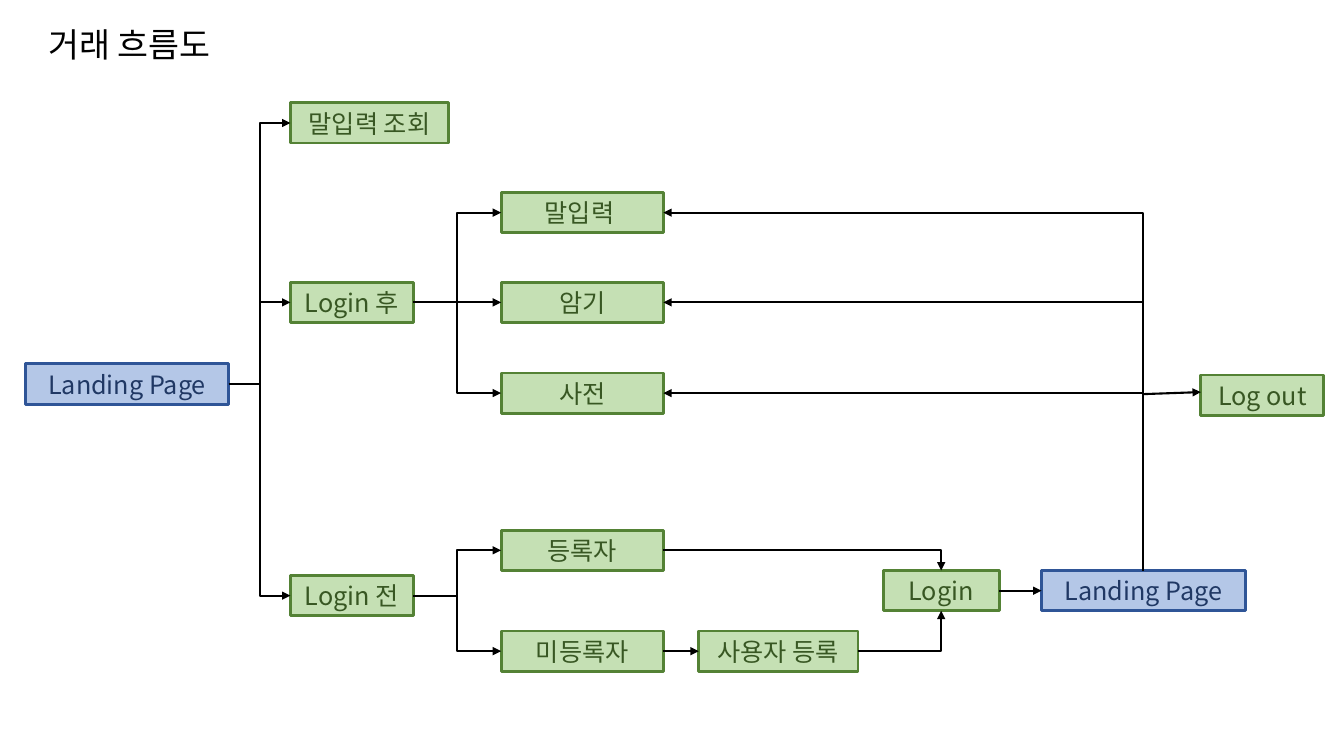
from pptx import Presentation
from pptx.dml.color import RGBColor
from pptx.enum import shapes, text
from pptx.oxml import ns
from pptx.util import Inches, Pt
from lxml import etree

# Content: key -> (label, style, left, top, width)
TITLE = "거래 흐름도"
COL_1, COL_2 = 2.88, 4.97
NARROW, MEDIUM, WIDE = 1.22, 1.61, 2.02
BOXES = {
    "start": ("Landing Page", "page", 0.25, 3.61, WIDE),
    "lookup": ("말입력 조회", "step", COL_1, 1.02, 1.57),
    "after": ("Login 후", "step", COL_1, 2.8, NARROW),
    "before": ("Login 전", "step", COL_1, 5.71, NARROW),
    "entry": ("말입력 ", "step", COL_2, 1.91, MEDIUM),
    "memorize": ("암기", "step", COL_2, 2.8, MEDIUM),
    "dictionary": ("사전", "step", COL_2, 3.7, MEDIUM),
    "member": ("등록자", "step", COL_2, 5.26, MEDIUM),
    "guest": ("미등록자", "step", COL_2, 6.26, MEDIUM),
    "signup": ("사용자 등록", "step", 6.93, 6.26, 1.58),
    "login": ("Login", "step", 8.76, 5.66, 1.15),
    "home": ("Landing Page", "page", 10.33, 5.66, WIDE),
    "logout": ("Log out", "step", 11.91, 3.72, NARROW),
}
BOX_HEIGHT = 0.4

# Connection sites of a rectangle
TOP, LEFT, BOTTOM, RIGHT = range(4)

# Flows: (from, to)
BRANCHES = [
    ("start", "lookup"), ("start", "after"), ("start", "before"),
    ("after", "entry"), ("after", "dictionary"),
    ("before", "member"), ("before", "guest"),
]
STRAIGHTS = [("after", "memorize"), ("guest", "signup"), ("login", "home")]
# Corners: (horizontal end, its site, vertical end, its site, arrowhead end)
CORNERS = [
    ("member", RIGHT, "login", TOP, "tailEnd"),
    ("signup", RIGHT, "login", BOTTOM, "tailEnd"),
] + [(name, RIGHT, "home", TOP, "headEnd")
     for name in ("entry", "memorize", "dictionary")]
LOGOUT_ARROW = (11.34, 3.91, 11.91, 3.89)

THEME = {
    "font": "Noto Sans CJK KR",
    "title_size": 24, "box_size": 18,
    "ink": "000000",
    "box_line": 2, "flow_line": 1.5,
    # fill, line, text
    "step": ("C5E0B4", "548235", "385723"),
    "page": ("B4C7E7", "2F5597", "203864"),
}


def rgb(value):
    return RGBColor.from_string(value)


def write(sp, label, size, color, align):
    tf = sp.text_frame
    tf.word_wrap = True
    tf.auto_size = text.MSO_AUTO_SIZE.SHAPE_TO_FIT_TEXT
    p = tf.paragraphs[0]
    p.alignment = align
    r = p.add_run()
    r.text = label
    r.font.size = Pt(size)
    r.font.name = THEME["font"]
    r.font.color.rgb = rgb(color)
    etree.SubElement(r.font._element, ns.qn("a:ea"), typeface=THEME["font"])


def add_box(slide, label, style, left, top, width):
    fill, line, color = THEME[style]
    sp = slide.shapes.add_shape(
        shapes.MSO_SHAPE.RECTANGLE,
        Inches(left), Inches(top), Inches(width), Inches(BOX_HEIGHT))
    sp.shadow.inherit = False
    sp.fill.solid()
    sp.fill.fore_color.rgb = rgb(fill)
    sp.line.color.rgb = rgb(line)
    sp.line.width = Pt(THEME["box_line"])
    write(sp, label, THEME["box_size"], color, text.PP_ALIGN.CENTER)
    return sp


def add_arrow(slide, kind, ends=(0, 0, 0, 0), arrow="tailEnd"):
    cxn = slide.shapes.add_connector(kind, *map(Inches, ends))
    cxn.line.color.rgb = rgb(THEME["ink"])
    cxn.line.width = Pt(THEME["flow_line"])
    etree.SubElement(cxn.line._get_or_add_ln(), ns.qn(f"a:{arrow}"),
                     type="triangle")
    etree.SubElement(cxn._element.spPr, ns.qn("a:effectLst"))
    return cxn


def main():
    prs = Presentation()
    prs.slide_width, prs.slide_height = Inches(13.33), Inches(7.5)
    slide = prs.slides.add_slide(prs.slide_layouts[6])

    # Boxes
    boxes = {key: add_box(slide, *box) for key, box in BOXES.items()}

    # Side-to-side flows
    elbow, straight = shapes.MSO_CONNECTOR.ELBOW, shapes.MSO_CONNECTOR.STRAIGHT
    for kind, flows in ((elbow, BRANCHES), (straight, STRAIGHTS)):
        for source, target in flows:
            cxn = add_arrow(slide, kind)
            cxn.begin_connect(boxes[source], RIGHT)
            cxn.end_connect(boxes[target], LEFT)

    # Flows that turn one corner
    for across, across_site, down, down_site, arrow in CORNERS:
        cxn = add_arrow(slide, elbow, arrow=arrow)
        cxn._element.spPr.find(ns.qn("a:prstGeom")).set("prst", "bentConnector2")
        cxn.begin_connect(boxes[across], across_site)
        cxn.end_connect(boxes[down], down_site)

    # Branch to log out
    add_arrow(slide, straight, LOGOUT_ARROW)

    # Title
    title = slide.shapes.add_textbox(
        Inches(0.38), Inches(0.19), Inches(2.35), Inches(0.5))
    write(title, TITLE, THEME["title_size"], THEME["ink"], text.PP_ALIGN.LEFT)

    prs.save("out.pptx")


if __name__ == "__main__":
    main()
